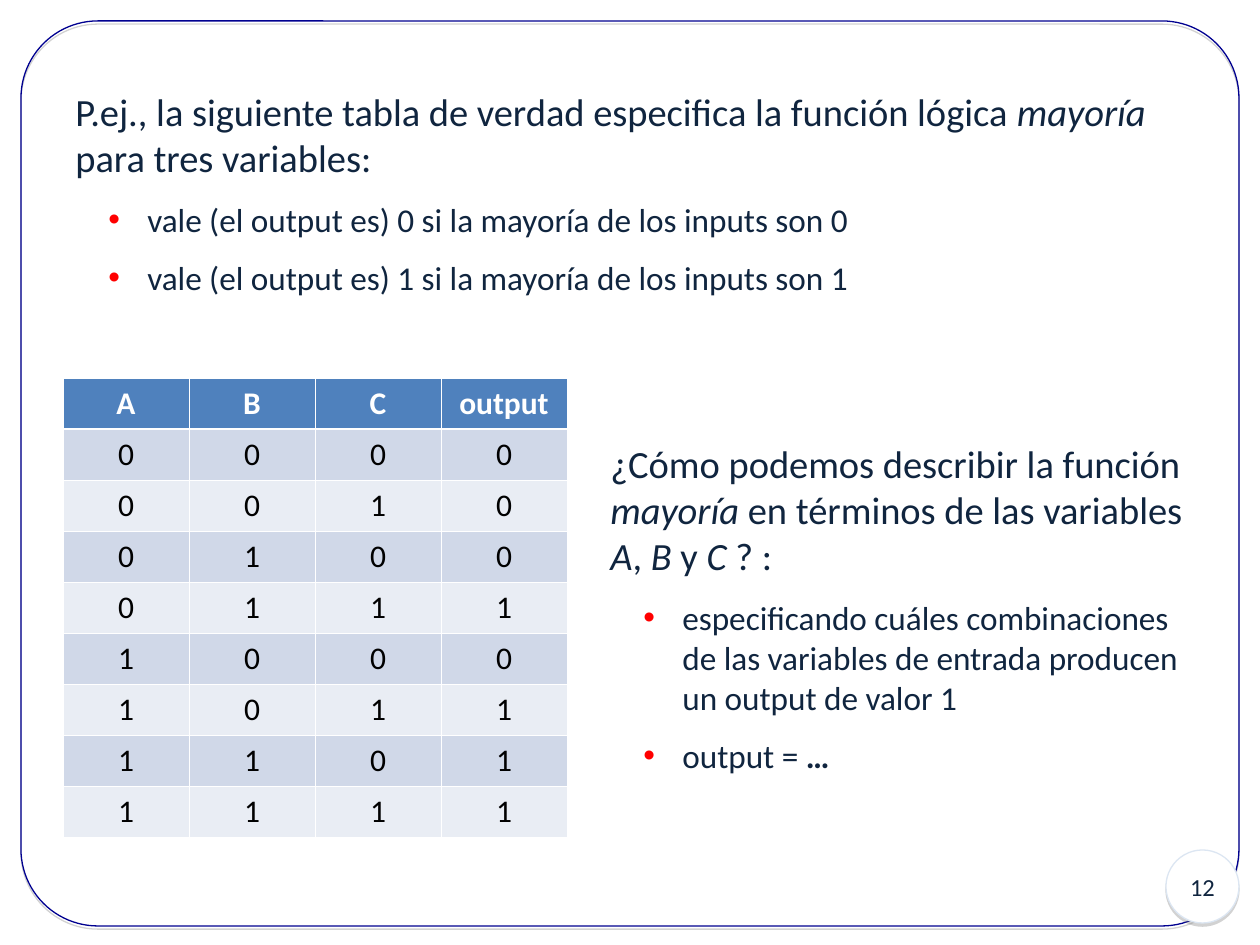
from lxml import etree
from pptx import Presentation
from pptx.dml.color import RGBColor
from pptx.enum.shapes import MSO_SHAPE
from pptx.enum.text import MSO_ANCHOR, PP_ALIGN
from pptx.oxml.ns import qn
from pptx.util import Emu, Pt

ROUNDED, OVAL = MSO_SHAPE.ROUNDED_RECTANGLE, MSO_SHAPE.OVAL
MIDDLE, CENTER = MSO_ANCHOR.MIDDLE, PP_ALIGN.CENTER

FONT = "Calibri"
INK, WHITE, BLACK, RED = "10253F", "FFFFFF", "000000", "FF0000"
HEADER_FILL, BANDS = "4F81BD", ("D0D8E8", "E9EDF4")
ITALIC, BOLD = {"italic": True}, {"bold": True}
THIN, THICK = 0.45, 1.47
ROW_HEIGHT, COLUMN_WIDTH = 51, 126

INTRO = [("P.ej., la siguiente tabla de verdad especifica la función lógica ", {}),
         ("mayoría", ITALIC), (" para tres variables:", {})]
INTRO_BULLETS = [[(f"vale (el output es) {v} si la mayoría de los inputs son {v}", {})]
                 for v in (0, 1)]
QUESTION = [("¿Cómo podemos describir la función ", {}), ("mayoría", ITALIC),
            (" en términos de las variables ", {}), ("A", ITALIC), (", ", {}),
            ("B", ITALIC), (" y ", {}), ("C", ITALIC), (" ? :", {})]
QUESTION_BULLETS = [
    [("especificando cuáles combinaciones de las variables de entrada "
      "producen un output de valor 1", {})],
    [("output = ", {}), ("…", BOLD)],
]
HEADERS = ["A", "B", "C", "output"]


def px(n):
    return Emu(round(n * 914400 / 126))


def color(value):
    return RGBColor.from_string(value)


def sub(parent, tag, **attrs):
    return etree.SubElement(parent, qn(tag), {k: str(v) for k, v in attrs.items()})


def add_run(p, text, size, ink=INK, **style):
    r = p.add_run()
    r.text = text
    values = {"name": FONT, "size": Pt(size), **style}
    for name, value in values.items():
        setattr(r.font, name, value)
    r.font.color.rgb = color(ink)


def add_outline(s, kind, box, line, fill=None):
    """Outlined shape with a soft grey drop shadow."""
    sp = s.shapes.add_shape(kind, *map(px, box))
    if fill:
        sp.fill.solid()
        sp.fill.fore_color.rgb = color(fill)
    else:
        sp.fill.background()
    sp.line.color.rgb = color(line)
    sp.line.width = Pt(0.75)
    sp.shadow.inherit = False
    effects = sp._element.spPr.find(qn("a:effectLst"))
    shadow = sub(effects, "a:outerShdw", dist=Pt(1.8), dir=90 * 60000, rotWithShape=0)
    sub(sub(shadow, "a:srgbClr", val="808080"), "a:alpha", val=35000)
    return sp


def add_bullet(p):
    p.level = 1
    pPr = p._p.get_or_add_pPr()
    pPr.set("marL", str(px(72)))
    pPr.set("indent", str(px(-39)))
    sub(sub(pPr, "a:buClr"), "a:srgbClr", val=RED)
    sub(pPr, "a:buFont", typeface="Arial")
    sub(pPr, "a:buChar", char="•")


def add_text(s, box, lead, bullets):
    """Lead paragraph followed by bulleted points."""
    tf = s.shapes.add_textbox(*map(px, box)).text_frame
    tf.word_wrap = True
    tf.vertical_anchor = MIDDLE
    for i, runs in enumerate([lead, *bullets]):
        p = tf.add_paragraph() if i else tf.paragraphs[0]
        p.space_before = Pt(10.5 if i else 30)
        if i:
            add_bullet(p)
        for text, style in runs:
            add_run(p, text, 19 if i else 22, **style)


def style_cell(cell, text, row):
    tcPr = cell._tc.get_or_add_tcPr()
    widths = {"L": THIN, "R": THIN, "T": THICK if row == 1 else THIN,
              "B": THICK if row == 0 else THIN}
    for side, width in widths.items():
        ln = sub(tcPr, f"a:ln{side}", w=Pt(width))
        sub(sub(ln, "a:solidFill"), "a:srgbClr", val=WHITE)
    cell.fill.solid()
    cell.fill.fore_color.rgb = color(BANDS[(row - 1) % 2] if row else HEADER_FILL)
    p = cell.text_frame.paragraphs[0]
    p.alignment = CENTER
    add_run(p, text, 18, BLACK if row else WHITE, bold=row == 0)


def add_truth_table(s, left, top):
    inputs = [[n >> 2 & 1, n >> 1 & 1, n & 1] for n in range(8)]
    rows = [HEADERS] + [[*bits, int(sum(bits) >= 2)] for bits in inputs]
    width, height = COLUMN_WIDTH * len(HEADERS), ROW_HEIGHT * len(rows)
    table = s.shapes.add_table(len(rows), len(HEADERS), px(left), px(top),
                               px(width), px(height)).table
    for column in table.columns:
        column.width = px(COLUMN_WIDTH)
    for i, values in enumerate(rows):
        table.rows[i].height = px(ROW_HEIGHT)
        for j, value in enumerate(values):
            style_cell(table.cell(i, j), str(value), i)


def add_page_number(s, number):
    sp = add_outline(s, OVAL, (1166, 850, 73, 73), "DCE6F2", WHITE)
    tf = sp.text_frame
    tf.vertical_anchor = MIDDLE
    p = tf.paragraphs[0]
    p.alignment = CENTER
    add_run(p, number, 14)


def main():
    prs = Presentation()
    prs.slide_width, prs.slide_height = px(1260), px(945)
    s = prs.slides.add_slide(prs.slide_layouts[6])

    # Frame and page number
    frame = add_outline(s, ROUNDED, (21, 21, 1218, 905), "000090")
    frame.adjustments[0] = 0.085
    add_page_number(s, "12")

    # Definition, truth table and question
    add_text(s, (63, 38, 1134, 309), INTRO, INTRO_BULLETS)
    add_truth_table(s, 63, 378)
    add_text(s, (598, 378, 599, 459), QUESTION, QUESTION_BULLETS)

    prs.save("out.pptx")


if __name__ == "__main__":
    main()
